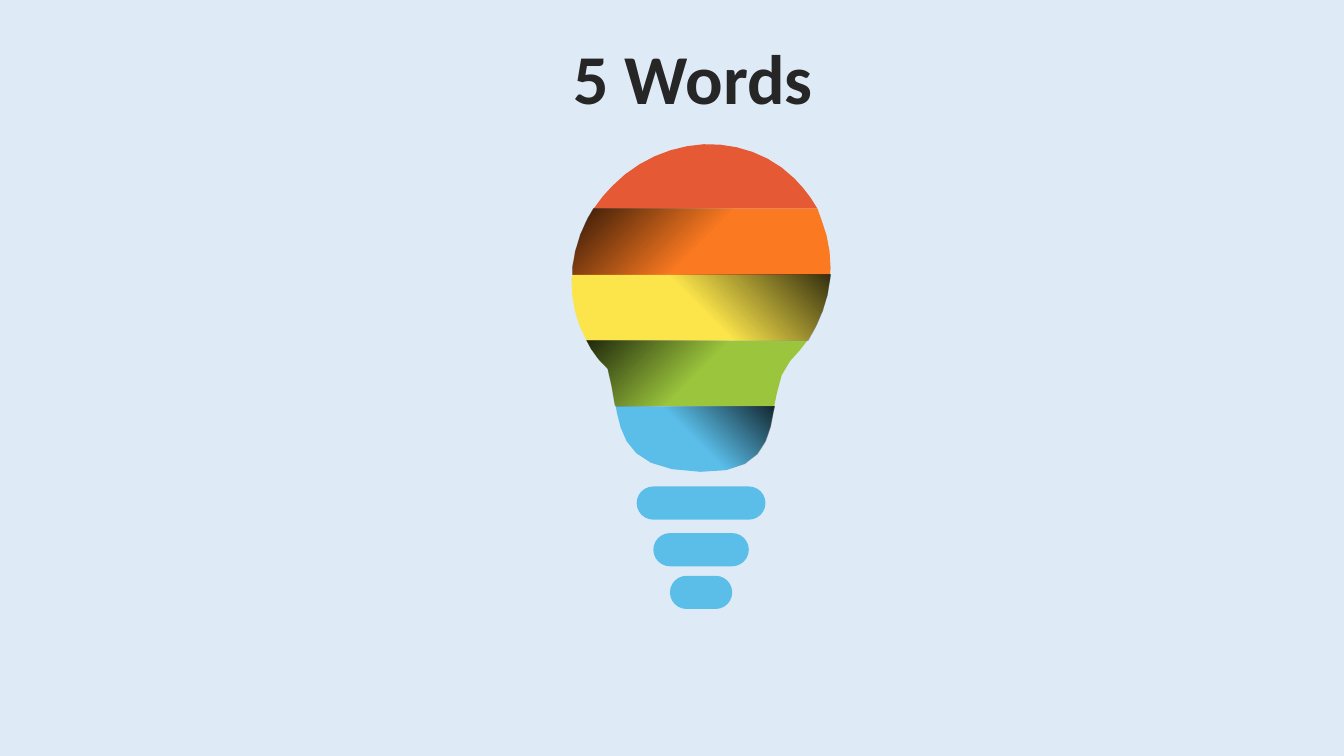
from math import ceil, dist

from lxml import etree
from pptx import Presentation
from pptx.dml.color import RGBColor
from pptx.enum.shapes import MSO_SHAPE
from pptx.enum.text import MSO_ANCHOR, MSO_AUTO_SIZE, PP_ALIGN
from pptx.oxml.ns import qn
from pptx.util import Pt

COLORS = {
    "background": "DEEBF7", "text": "262626", "shade": "000000",
    "red": "E55934", "orange": "FA7921", "yellow": "FBE54B",
    "green": "9BC53D", "blue": "5ABEE9",
}
CHORD = 13  # rough length of the straight pieces that make up a curve
CUTS = [149, 196.3, 243.3, 290.2]  # heights where one band meets the next
SHADE_LEFT, SHADE_RIGHT = 315, 225  # gradient angles from each top corner

# Outlines in points: pairs are line ends, sixes are cubic Bezier segments.
BANDS = [
    ("red", None, [
        (502.6, 103), (526.3, 102.2, 550.1, 110.2, 567.4, 127.4),
        (573.8, 133.9, 579.6, 141.1, 583.9, CUTS[0]),
        (424.1, CUTS[0]), (429.1, 142.6, 432, 137.5, 437, 133.2),
        (455, 114.5, 478.8, 104.4, 502.6, 103)]),
    ("orange", SHADE_LEFT, [
        (424.1, CUTS[0]), (583.9, CUTS[0]), (586.8, 157),
        (591.1, 167.8, 593.3, 179.3, 593.3, 191.5), (592.8, CUTS[1]),
        (409, CUTS[1]), (409, 190.8), (410.4, 179.3, 414, 167, 419.8, 156.2)]),
    ("yellow", SHADE_RIGHT, [
        (409, CUTS[1]), (593.2, CUTS[1]), (592.6, 200.2),
        (591.1, 215.3, 585.4, 229.7, 577, CUTS[2]),
        (419, CUTS[2]), (418.3, 241.9), (411.1, 229, 408.2, 214.6, 408.2, 199.4)]),
    ("green", SHADE_LEFT, [
        (419, CUTS[2]), (576.7, CUTS[2]), (571, 250.6),
        (569.5, 252.7, 567.4, 255.6, 564.5, 257.8),
        (559.4, 263.5, 556.6, 271.4, 555.1, 280.1), (553, CUTS[3]),
        (439.9, CUTS[3]), (439.2, 288.7), (437.8, 280.1, 436.3, 271.4, 434.2, 263.5),
        (429.8, 259.2, 425.5, 254.9, 422.6, 249.8)]),
    ("blue", SHADE_RIGHT, [
        (439.9, CUTS[3]), (553, CUTS[3]), (552.2, 293.8),
        (548.6, 316.1, 542.9, 338.4, 500.4, 337),
        (453.6, 336.2, 445, 316.8, 440.6, 294.5)]),
]
SOCKET_CENTER, SOCKET_HEIGHT = 500.8, 23.7
SOCKET_RINGS = [(380.8, 68.2), (347.5, 92), (411.3, 44.5)]  # top, width


def rgb(name):
    return RGBColor.from_string(COLORS[name])


def fill_solid(sp, color):
    sp.shadow.inherit = False
    sp.line.fill.background()
    sp.fill.solid()
    sp.fill.fore_color.rgb = rgb(color)


def fill_shade(sp, angle):
    """Fade from 80% black at one corner to clear at the middle."""
    sp.shadow.inherit = False
    sp.line.fill.background()
    sp.fill.gradient()
    sp.fill.gradient_angle = angle
    for stop, position in zip(sp.fill.gradient_stops, (0, 0.5)):
        stop.color.rgb = rgb("shade")
        stop.position = position
    for clr, alpha in zip(sp._element.spPr.iter(qn("a:srgbClr")), (80000, 0)):
        etree.SubElement(clr, qn("a:alpha")).set("val", str(alpha))


def bezier(start, segment):
    points = [start, segment[:2], segment[2:4], segment[4:]]
    steps = ceil(dist(start, segment[4:]) / CHORD)
    for i in range(1, steps + 1):
        t = i / steps
        weights = ((1 - t) ** 3, 3 * t * (1 - t) ** 2, 3 * t * t * (1 - t), t ** 3)
        yield tuple(sum(w * p[axis] for w, p in zip(weights, points))
                    for axis in (0, 1))


def add_outline(s, segments):
    points = [segments[0]]
    for segment in segments[1:]:
        points.extend([segment] if len(segment) == 2 else bezier(points[-1], segment))
    vertices = [(Pt(x), Pt(y)) for x, y in points]
    builder = s.shapes.build_freeform(*vertices[0])
    builder.add_line_segments(vertices[1:], close=True)
    return builder.convert_to_shape()


def add_ring(s, top, width):
    sp = s.shapes.add_shape(MSO_SHAPE.ROUNDED_RECTANGLE,
                            Pt(SOCKET_CENTER - width / 2), Pt(top),
                            Pt(width), Pt(SOCKET_HEIGHT))
    sp.adjustments[0] = 0.5
    fill_solid(sp, "blue")


def set_title(s, text):
    sp = s.shapes.title
    sp.left, sp.top, sp.width, sp.height = Pt(378.7), Pt(20.9), Pt(244.1), Pt(67.7)
    tf = sp.text_frame
    tf.text = text
    tf.word_wrap = True
    tf.auto_size = MSO_AUTO_SIZE.SHAPE_TO_FIT_TEXT
    tf.vertical_anchor = MSO_ANCHOR.TOP
    p = tf.paragraphs[0]
    p.alignment = PP_ALIGN.CENTER
    font = p.runs[0].font
    font.name, font.size, font.bold = "Calibri", Pt(50), True
    font.color.rgb = rgb("text")


def main():
    prs = Presentation()
    prs.slide_width, prs.slide_height = Pt(960), Pt(540)
    s = prs.slides.add_slide(prs.slide_layouts[5])
    s.background.fill.solid()
    s.background.fill.fore_color.rgb = rgb("background")
    set_title(s, "5 Words ")
    for color, _, segments in BANDS:
        fill_solid(add_outline(s, segments), color)
    for top, width in SOCKET_RINGS:
        add_ring(s, top, width)
    for _, angle, segments in BANDS:
        if angle is not None:
            fill_shade(add_outline(s, segments), angle)
    prs.save("out.pptx")


if __name__ == "__main__":
    main()
